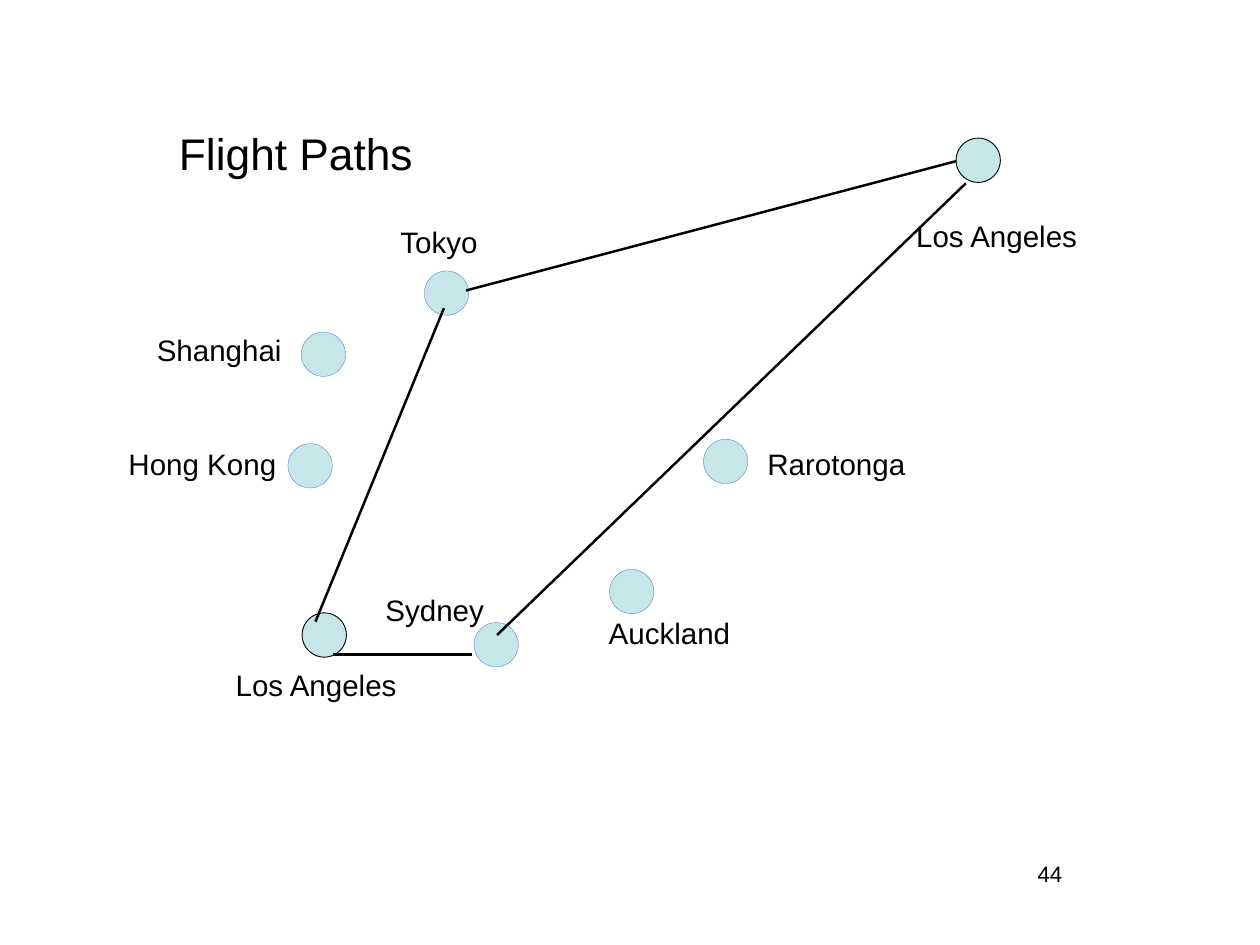
import pptx
import pptx.util
import pptx.dml.color
import pptx.enum.shapes
import pptx.enum.text
import pptx.oxml

CELL = 0.1
COLS, ROWS = 142.2, 106.7
DOT = 5
BLACK, BLUE, PALE = "000000", "4472C4", "C6E6E9"

CITIES = [
    ("Tokyo", (47.9, 30.6), (44.6, 25.3, 10.6), BLUE, 0.25),
    ("Sydney", (53.5, 70.3), (42.9, 66.8, 13), BLUE, 0.25),
    ("Auckland", (68.8, 64.3), (68.1, 69.4, 15.6), BLUE, 0.25),
    ("Shanghai", (34, 37.5), (17.1, 37.5, 16), BLUE, 0.25),
    ("Rarotonga", (79.4, 49.6), (86, 50.3, 17.4), BLUE, 0.25),
    ("Hong Kong", (32.5, 50.1), (13.9, 50.3, 18.6), BLUE, 0.25),
    ("Los Angeles", (107.9, 15.6), (102.8, 24.6, 20), BLACK, 0.75),
    ("Los Angeles", (34.1, 69.2), (26, 75.3, 20), BLACK, 0.75),
]
ROUTES = [
    ((109, 20.7), (56.1, 71.7)),
    ((52.6, 32.8), (107.9, 18.2)),
    ((53.3, 73.9), (37.6, 73.9)),
    ((35.6, 70.2), (50.1, 34.8)),
]


def grid(*cells):
    return [pptx.util.Inches(c * CELL) for c in cells]


def tint(code):
    return pptx.dml.color.RGBColor.from_string(code)


def stroke(line, code, width):
    line.color.rgb = tint(code)
    line.width = pptx.util.Pt(width)


def write(slide, text, place, size, inset=0.6, align="LEFT"):
    box = slide.shapes.add_textbox(*grid(*place))
    frame = box.text_frame
    frame.word_wrap = True
    frame.margin_left = grid(inset)[0]
    frame.margin_right = frame.margin_top = frame.margin_bottom = 0
    frame.text = text
    para = frame.paragraphs[0]
    para.alignment = pptx.enum.text.PP_ALIGN[align]
    font = para.runs[0].font
    font.name = "Arial"
    font.size = pptx.util.Pt(size)
    font.color.rgb = tint(BLACK)


def mark(slide, spot, edge, width):
    oval = pptx.enum.shapes.MSO_SHAPE.OVAL
    dot = slide.shapes.add_shape(oval, *grid(*spot, DOT, DOT))
    dot.shadow.inherit = False
    dot.fill.solid()
    dot.fill.fore_color.rgb = tint(PALE)
    stroke(dot.line, edge, width)


def route(slide, start, end):
    kind = pptx.enum.shapes.MSO_CONNECTOR.STRAIGHT
    link = slide.shapes.add_connector(kind, *grid(*start, *end))
    stroke(link.line, BLACK, 2)
    plain = pptx.oxml.parse_xml(
        '<a:effectLst xmlns:a="http://schemas.openxmlformats.org/drawingml/2006/main"/>'
    )
    link._element.spPr.append(plain)


def main():
    deck = pptx.Presentation()
    deck.slide_width, deck.slide_height = grid(COLS, ROWS)
    slide = deck.slides.add_slide(deck.slide_layouts[6])
    write(slide, "Flight Paths", (19.6, 14.3, 28.3, 6.8), 36)
    for name, spot, (left, top, width), edge, weight in CITIES:
        mark(slide, spot, edge, weight)
        write(slide, name, (left, top, width, 4.9), 24)
    for start, end in ROUTES:
        route(slide, start, end)
    write(slide, "44", (116.5, 97.1, 4, 3.9), 18, 0, "CENTER")
    deck.save("out.pptx")


if __name__ == "__main__":
    main()
